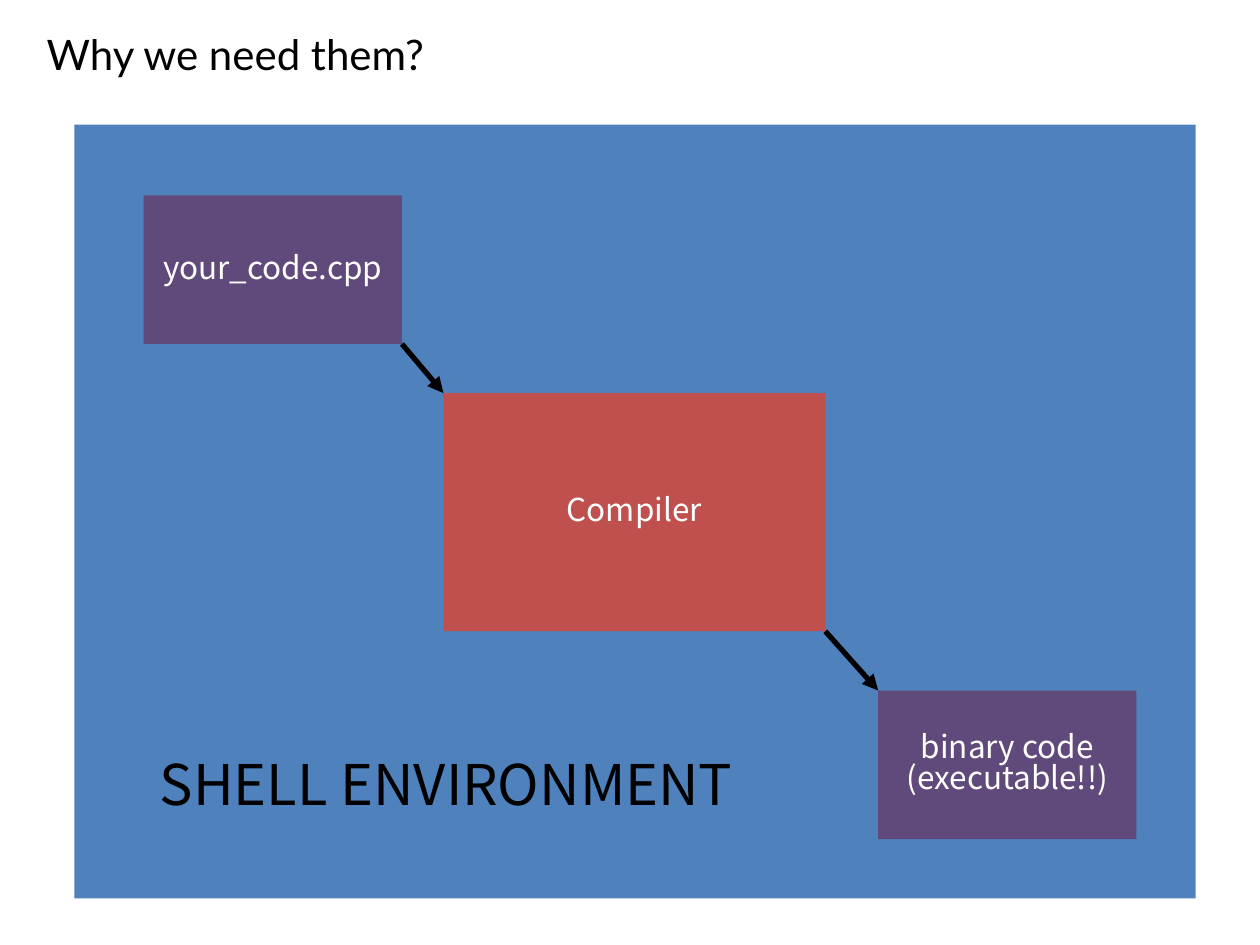
import lxml.etree
import pptx
import pptx.util
import pptx.dml.color
import pptx.enum.shapes
import pptx.enum.text
import pptx.oxml.ns

COLORS = {"environment": "4F81BD", "compiler": "C0504D", "file": "604A7B",
          "dark": "000000", "light": "FFFFFF"}
BODY_FONT = "Noto Sans CJK KR"
LINE_SPACING = 0.83

deck = pptx.Presentation()
deck.slide_width = pptx.util.Inches(10)
deck.slide_height = pptx.util.Inches(7.5)
column = deck.slide_width / 100
row = deck.slide_height / 100
slide = deck.slides.add_slide(deck.slide_layouts[5])


def grid(left, top, width, height):
    """Turn percentages of the slide into a position and a size."""
    return [round(n * unit) for n, unit in
            zip((left, top, width, height), (column, row, column, row))]


def write(frame, lines, size, color, font=BODY_FONT, align="LEFT", spacing=LINE_SPACING):
    for index, line in enumerate(lines):
        paragraph = frame.paragraphs[0] if index == 0 else frame.add_paragraph()
        paragraph.alignment = getattr(pptx.enum.text.PP_ALIGN, align)
        paragraph.line_spacing = spacing
        run = paragraph.add_run()
        run.text = line
        run.font.size = pptx.util.Pt(size)
        run.font.name = font
        run.font.color.rgb = pptx.dml.color.RGBColor.from_string(COLORS[color])


title = slide.shapes.title
title.left, title.top, title.width, title.height = grid(2.7, 1.73, 97.2, 8)
title.text_frame.vertical_anchor = pptx.enum.text.MSO_ANCHOR.MIDDLE
write(title.text_frame, ["Why we need them?"], 24, "dark", "Lato", spacing=1.0)

# The environment encloses the three stages of the build.
blocks = [
    ("environment", (5.9, 13.2, 89, 81.87), []),
    ("file", (11.4, 20.67, 20.5, 15.73), ["your_code.cpp"]),
    ("compiler", (35.2, 41.6, 30.3, 25.2), ["Compiler"]),
    ("file", (69.7, 73.07, 20.5, 15.73), ["binary code", "(executable!!)"]),
]
stages = []
for role, place, lines in blocks:
    block = slide.shapes.add_shape(
        pptx.enum.shapes.MSO_SHAPE.RECTANGLE, *grid(*place))
    block.shadow.inherit = False
    block.fill.solid()
    block.fill.fore_color.rgb = pptx.dml.color.RGBColor.from_string(COLORS[role])
    block.line.fill.background()
    block.text_frame.vertical_anchor = pptx.enum.text.MSO_ANCHOR.MIDDLE
    write(block.text_frame, lines, 18, "light", align="CENTER")
    if lines:
        stages.append(block)

environment_label = slide.shapes.add_textbox(*grid(11.7, 79.87, 49.2, 8.53))
environment_label.text_frame.word_wrap = True
environment_label.text_frame.auto_size = pptx.enum.text.MSO_AUTO_SIZE.SHAPE_TO_FIT_TEXT
write(environment_label.text_frame, ["SHELL ENVIRONMENT"], 32, "dark")

# Each arrow runs from a stage's lower right corner to the next one's upper left.
for source, target in zip(stages, stages[1:]):
    arrow = slide.shapes.add_connector(
        pptx.enum.shapes.MSO_CONNECTOR.STRAIGHT,
        source.left + source.width, source.top + source.height,
        target.left, target.top)
    arrow.line.width = pptx.util.Pt(3)
    arrow.line.color.rgb = pptx.dml.color.RGBColor.from_string(COLORS["dark"])
    properties = arrow._element.spPr
    outline = properties.find(pptx.oxml.ns.qn("a:ln"))
    lxml.etree.SubElement(outline, pptx.oxml.ns.qn("a:tailEnd"), type="triangle")
    lxml.etree.SubElement(properties, pptx.oxml.ns.qn("a:effectLst"))

deck.save("out.pptx")
